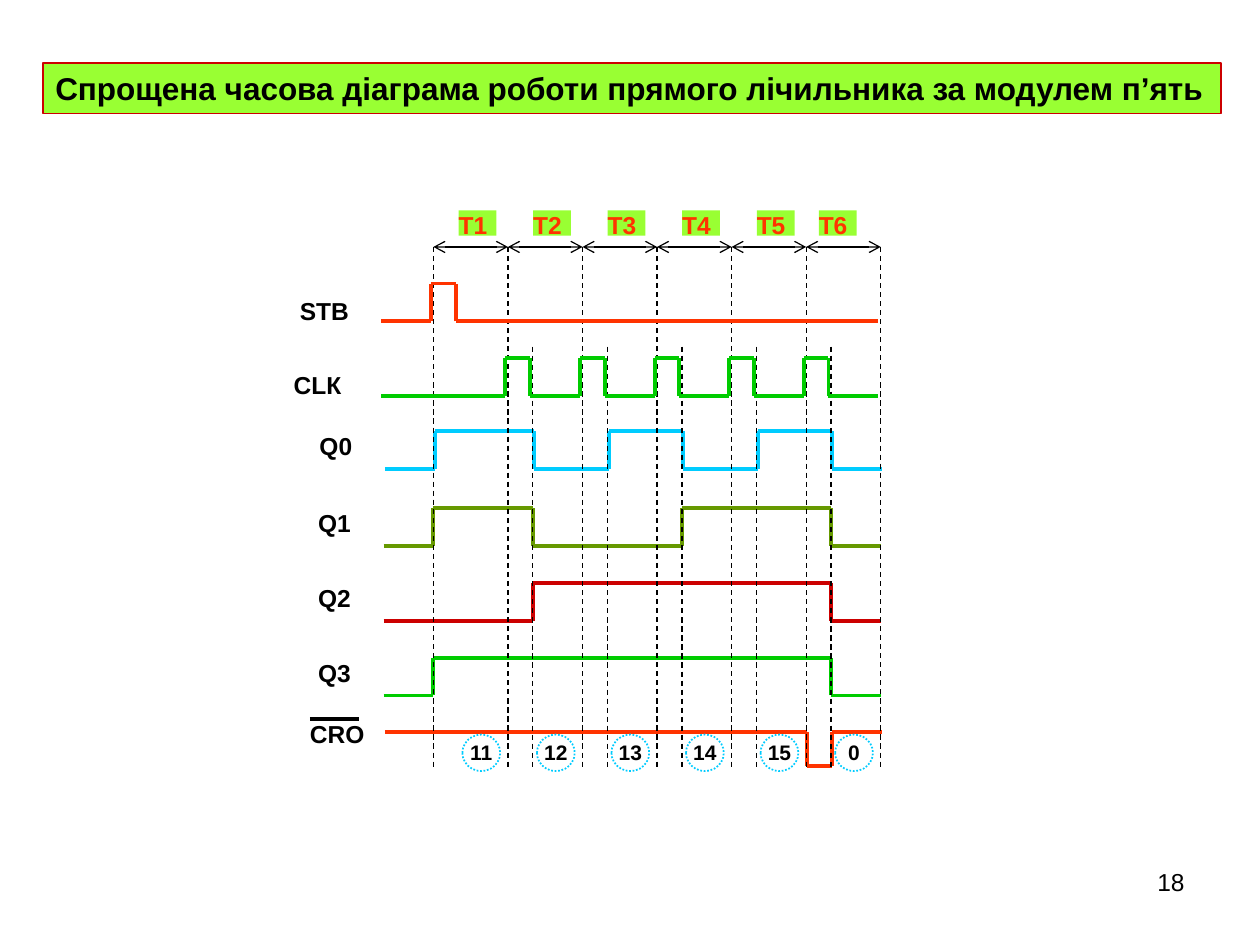
from dataclasses import dataclass

from lxml import etree
from pptx import Presentation
from pptx import util as u
from pptx.dml.color import RGBColor
from pptx.enum import dml, shapes, text
from pptx.oxml import ns


@dataclass(frozen=True)
class Theme:
    font: str = "Arial"
    black: str = "000000"
    white: str = "FFFFFF"
    lime: str = "99FF33"
    orange: str = "FF3300"
    red: str = "CC0000"
    green: str = "00CC00"
    olive: str = "669900"
    cyan: str = "00CCFF"
    title: int = 18
    label: int = 14
    count: int = 12
    thin: float = 0.75
    ring: float = 1
    thick: float = 2.25


T = Theme()
STEPS = 6
SPAN = 3.55
STEP = SPAN / STEPS
THIRD = STEP / 3
LEFT = 3.44
TOP = 1.67
BASE = 6.1


def color(code):
    return RGBColor.from_string(code)


def write(shape, words, size=T.label, ink=T.black, bold=True,
          align=text.PP_ALIGN.LEFT, inset=(0, 0), wrap=True):
    frame = shape.text_frame
    frame.word_wrap = wrap
    frame.vertical_anchor = text.MSO_ANCHOR.TOP
    frame.margin_left = frame.margin_right = u.Inches(inset[0])
    frame.margin_top = frame.margin_bottom = u.Inches(inset[1])
    para = frame.paragraphs[0]
    para.alignment = align
    run = para.add_run()
    run.text = words
    run.font.name = T.font
    run.font.size = u.Pt(size)
    run.font.bold = bold
    run.font.color.rgb = color(ink)


def shape(slide, box, fill, kind=shapes.MSO_SHAPE.RECTANGLE,
          edge=None, width=T.thin, dash=None):
    item = slide.shapes.add_shape(kind, *map(u.Inches, box))
    item.shadow.inherit = False
    item.fill.solid()
    item.fill.fore_color.rgb = color(fill)
    if edge:
        item.line.color.rgb = color(edge)
        item.line.width = u.Pt(width)
        item.line.dash_style = dash
    else:
        item.line.fill.background()
    return item


def line(slide, start, end, ink=T.black, width=T.thin, dash=None, arrows=False):
    item = slide.shapes.add_connector(
        shapes.MSO_CONNECTOR.STRAIGHT, *map(u.Inches, (*start, *end)))
    item.line.color.rgb = color(ink)
    item.line.width = u.Pt(width)
    item.line.dash_style = dash
    props = item._element.spPr
    if arrows:
        stroke = props.find(ns.qn("a:ln"))
        for tag in ("a:headEnd", "a:tailEnd"):
            etree.SubElement(stroke, ns.qn(tag), type="arrow")
    etree.SubElement(props, ns.qn("a:effectLst"))


def header(slide, left, top, width, height):
    bar = shape(slide, (left, top, width, height), T.lime, edge=T.red)
    write(bar, "Спрощена часова діаграма роботи прямого лічильника за модулем п’ять",
          size=T.title, inset=(0.1, 0.05), wrap=False)
    bar.text_frame.auto_size = text.MSO_AUTO_SIZE.SHAPE_TO_FIT_TEXT


def periods(slide, left, top):
    axis = top + 0.29
    for i in range(STEPS):
        x = left + i * STEP
        line(slide, (x, axis), (x + STEP, axis), arrows=True)
        shift = 0.2 if i < STEPS - 1 else 0.1
        tag = shape(slide, (x + shift, top, 0.3, 0.2), T.lime)
        write(tag, f"T{i + 1}", ink=T.orange)


def wave(slide, left, top, height, edges, ink, high=False):
    marks = [-2, *edges, 18]
    levels = (top + height, top)
    for i, (start, end) in enumerate(zip(marks, marks[1:])):
        x, right = left + start * THIRD, left + end * THIRD
        y = levels[high]
        if i:
            line(slide, (x, levels[0]), (x, top), ink, T.thick)
        line(slide, (x, y), (right, y), ink, T.thick)
        high = not high


def label(slide, box, words, align=text.PP_ALIGN.CENTER):
    write(shape(slide, box, T.white), words, align=align)


def outputs(slide, left, top):
    rows = (
        ("Q0", 0, 0.01, T.cyan, (0, 4, 7, 10, 13, 16)),
        ("Q1", 0.61, 0, T.olive, (0, 4, 10, 16)),
        ("Q2", 1.21, 0, T.red, (4, 16)),
        ("Q3", 1.8, 0, T.green, (0, 16)),
    )
    for name, drop, shift, ink, edges in rows:
        x, y = left + shift, top + drop
        wave(slide, x, y, 0.3, edges, ink)
        label(slide, (x - 0.98, y, 0.39, 0.3), name)


def carry(slide, left, top):
    wave(slide, left + 0.01, top, 0.27, (15, 16), T.orange, high=True)
    x, y = left - 0.98, top - 0.1
    label(slide, (x, y, 0.49, 0.2), "CRO", text.PP_ALIGN.LEFT)
    line(slide, (x, y), (x + 0.39, y), width=T.thick)


def guides(slide, left, top, base):
    marks = [(i * 3, top) for i in range(STEPS + 1)]
    marks += [(i * 3 + 1, top + 0.79) for i in range(1, STEPS)]
    for mark, y in marks:
        x = left + mark * THIRD
        line(slide, (x, y), (x, base), dash=dml.MSO_LINE.DASH)


def counts(slide, left, top):
    for i, value in enumerate(("11", "12", "13", "14", "15", "0")):
        ring = shape(slide, (left + i * STEP, top, 0.3, 0.29), T.white,
                     shapes.MSO_SHAPE.OVAL, T.cyan, T.ring, dml.MSO_LINE.ROUND_DOT)
        write(ring, value, size=T.count, align=text.PP_ALIGN.CENTER)


def inputs(slide, left, top):
    pulses = [mark for i in range(3, 18, 3) for mark in (i, i + 1)]
    wave(slide, left, top, 0.3, (0, 1), T.orange)
    label(slide, (left - 1.09, top + 0.1, 0.49, 0.3), "STB")
    wave(slide, left, top + 0.59, 0.3, pulses, T.green)
    label(slide, (left - 1.09, top + 0.69, 0.49, 0.2), "CLК", text.PP_ALIGN.LEFT)


def number(slide, left, top, width, height):
    box = slide.shapes.add_textbox(*map(u.Inches, (left, top, width, height)))
    write(box, "18", bold=False, align=text.PP_ALIGN.RIGHT, inset=(0.1, 0.05))


def main():
    deck = Presentation()
    deck.slide_width, deck.slide_height = u.Inches(10), u.Inches(7.5)
    slide = deck.slides.add_slide(deck.slide_layouts[6])
    periods(slide, LEFT, TOP)
    outputs(slide, LEFT, TOP + 1.75)
    carry(slide, LEFT, TOP + 4.14)
    guides(slide, LEFT, TOP + 0.29, BASE)
    counts(slide, LEFT + 0.23, BASE - 0.27)
    header(slide, 0.34, 0.5, 9.35, 0.4)
    inputs(slide, LEFT - 0.02, TOP + 0.58)
    number(slide, 7.17, 6.83, 2.33, 0.52)
    deck.save("out.pptx")


if __name__ == "__main__":
    main()
